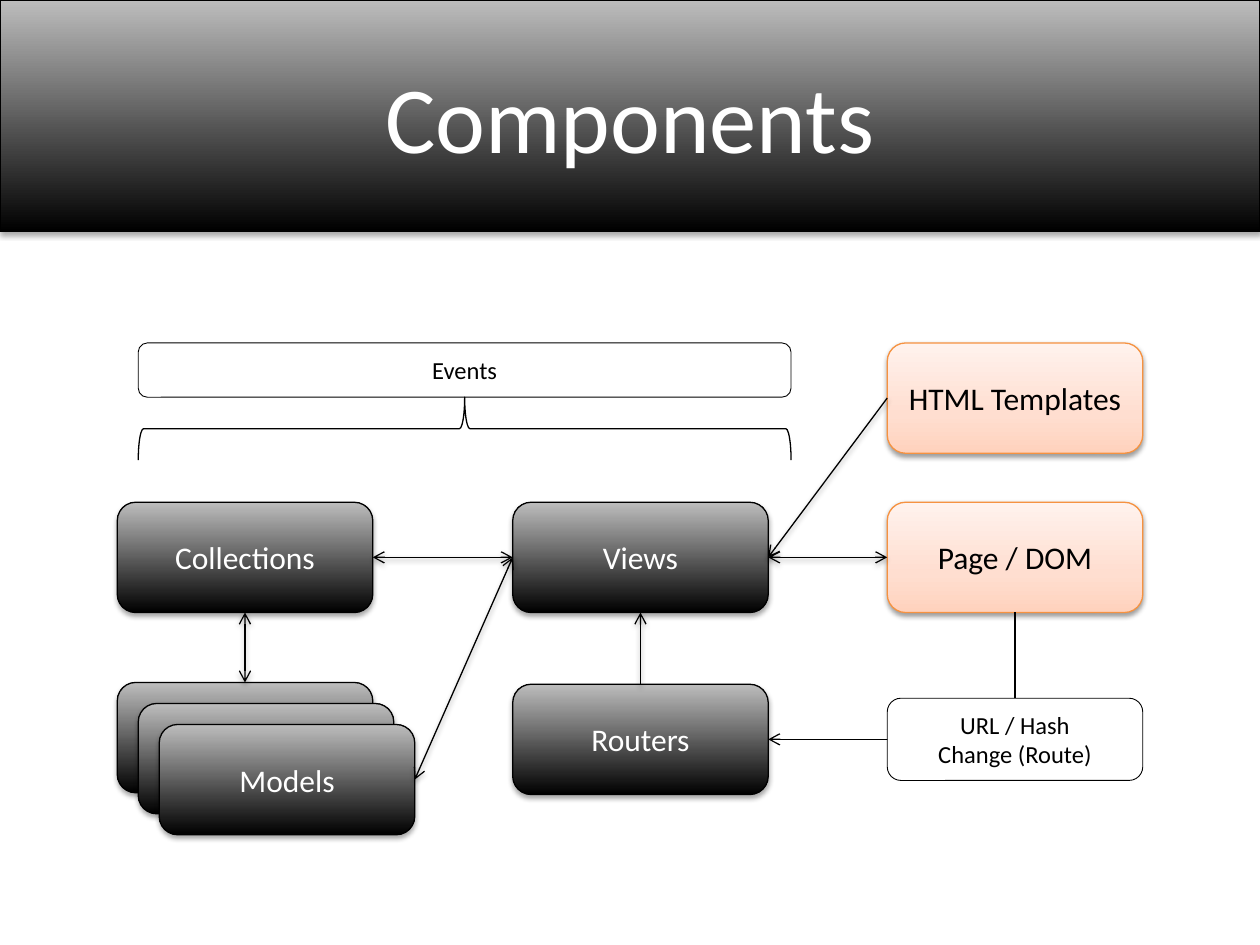
from lxml import etree
from pptx import Presentation
from pptx.dml.color import RGBColor
from pptx.enum import shapes, text
from pptx.oxml.ns import qn
from pptx.util import Pt

DARK = [(0, "000000"), (100, "BDBDBD")]
PEACH = [(0, "FFD2BD"), (35, "FFDED0"), (100, "FFF2ED")]
WIDE, HIGH = 146, 63
COLS = (67, 293, 507)
ROWS = (196, 287, 391)
STEP = 12  # offset between stacked cards
TOP, LEFT, BOTTOM, RIGHT = range(4)

# name, column, row, stops, line colour, text colour, shadow (opacity, distance)
BOXES = [
    ("Collections", 0, 1, DARK, "000000", "FFFFFF", (35, 1.8)),
    ("Views", 1, 1, DARK, "000000", "FFFFFF", (35, 1.8)),
    ("Routers", 1, 2, DARK, "000000", "FFFFFF", (35, 1.8)),
    ("HTML Templates", 2, 0, PEACH, "F69240", "000000", (38, 1.6)),
    ("Page / DOM", 2, 1, PEACH, "F69240", "000000", (38, 1.6)),
]
CARDS = ["", "", "Models"]
# from, side, to, side, arrowhead at both ends
LINKS = [
    ("HTML Templates", LEFT, "Views", RIGHT, False),
    ("Collections", RIGHT, "Views", LEFT, True),
    ("Models", RIGHT, "Views", LEFT, True),
    ("Collections", BOTTOM, "Stack", TOP, True),
    ("Views", RIGHT, "Page / DOM", LEFT, True),
    ("Routers", TOP, "Views", BOTTOM, False),
]
EVENTS = (79, 196, 373, 31)
ROUTE = (COLS[2], 399, WIDE, 47)
BRACE = 36


def rgb(code):
    return RGBColor.from_string(code)


def sub(node, tag, **attrs):
    return etree.SubElement(node, qn(tag), {k: str(v) for k, v in attrs.items()})


def edge(shape, code, width=0.75):
    shape.line.color.rgb = rgb(code)
    shape.line.width = Pt(width)


def shade(shape, alpha=0, dist=0):
    """Give the shape a soft shadow straight below, or none if alpha is 0."""
    props = shape._element.spPr
    for old in props.findall(qn("a:effectLst")):
        props.remove(old)
    effects = sub(props, "a:effectLst")
    if alpha:
        outer = sub(effects, "a:outerShdw", blurRad=Pt(3.1), dist=Pt(dist),
                    dir=5400000, rotWithShape=0)
        color = sub(outer, "a:srgbClr", val="000000")
        sub(color, "a:alpha", val=alpha * 1000)


def blend(shape, stops):
    """Fill from bottom to top with any number of colour stops."""
    shape.fill.gradient()
    shape.fill.gradient_angle = 90
    group = shape._element.spPr.find(qn("a:gradFill")).find(qn("a:gsLst"))
    for old in list(group):
        group.remove(old)
    for pos, code in stops:
        sub(sub(group, "a:gs", pos=pos * 1000), "a:srgbClr", val=code)


def write(shape, words, size, code):
    frame = shape.text_frame
    frame.text = words
    frame.word_wrap = True
    frame.vertical_anchor = text.MSO_ANCHOR.MIDDLE
    for para in frame.paragraphs:
        para.alignment = text.PP_ALIGN.CENTER
        for run in para.runs:
            run.font.name, run.font.size = "Calibri", Pt(size)
            run.font.color.rgb = rgb(code)


def add_box(slide, x, y, w, h, words, size, code):
    box = slide.shapes.add_shape(shapes.MSO_SHAPE.ROUNDED_RECTANGLE,
                                 Pt(x), Pt(y), Pt(w), Pt(h))
    if words:
        write(box, words, size, code)
    return box


def add_block(slide, x, y, words, stops, line, code, shadow):
    box = add_box(slide, x, y, WIDE, HIGH, words, 18, code)
    blend(box, stops)
    edge(box, line)
    shade(box, *shadow)
    return box


def add_label(slide, place, words):
    box = add_box(slide, *place, words, 14, "000000")
    box.fill.solid()
    box.fill.fore_color.rgb = rgb("FFFFFF")
    edge(box, "000000", 0.5)
    shade(box)


def add_link(slide, kind, start, side, end, goal, both):
    link = slide.shapes.add_connector(kind, 0, 0, 0, 0)
    link.begin_connect(start, side)
    link.end_connect(end, goal)
    edge(link, "000000")
    line = link.line._get_or_add_ln()
    if both:
        sub(line, "a:headEnd", type="arrow")
    sub(line, "a:tailEnd", type="arrow")
    return link


def add_bend(slide, page, router):
    """Run down from the page, then left to the router, with one corner."""
    link = add_link(slide, shapes.MSO_CONNECTOR.ELBOW,
                    page, BOTTOM, router, RIGHT, False)
    x1, y1 = page.left + page.width // 2, page.top + page.height
    x2, y2 = router.left + router.width, router.top + router.height // 2
    across, down = x1 - x2, y2 - y1
    link.left, link.top = (x1 + x2 - down) // 2, (y1 + y2 - across) // 2
    link.width, link.height = down, across
    props = link._element.spPr
    form = props.find(qn("a:xfrm"))
    for flip in ("flipH", "flipV"):
        form.attrib.pop(flip, None)
    form.set("rot", "5400000")
    props.find(qn("a:prstGeom")).set("prst", "bentConnector2")
    shade(link)


def add_brace(slide):
    x, y, w, h = EVENTS
    brace = slide.shapes.add_shape(
        shapes.MSO_SHAPE.LEFT_BRACE, Pt(x + (w - BRACE) / 2),
        Pt(y + h + (BRACE - w) / 2), Pt(BRACE), Pt(w))
    brace.rotation = 90
    brace.fill.background()
    edge(brace, "000000")
    shade(brace)


def main():
    deck = Presentation()
    deck.slide_width, deck.slide_height = Pt(720), Pt(540)
    slide = deck.slides.add_slide(deck.slide_layouts[5])

    title = slide.shapes.title
    title.left, title.top, title.width, title.height = 0, 0, Pt(720), Pt(132.5)
    write(title, "Components", 54, "FFFFFF")
    blend(title, DARK)
    edge(title, "000000")
    shade(title, 35, 1.8)

    nodes = {}
    for name, col, row, *look in BOXES:
        nodes[name] = add_block(slide, COLS[col], ROWS[row], name, *look)
    cards = [add_block(slide, COLS[0] + i * STEP, ROWS[2] - 1 + i * STEP, name,
                       DARK, "000000", "FFFFFF", (35, 1.8))
             for i, name in enumerate(CARDS)]
    nodes["Stack"], nodes["Models"] = cards[0], cards[-1]

    for start, side, end, goal, both in LINKS:
        link = add_link(slide, shapes.MSO_CONNECTOR.STRAIGHT,
                        nodes[start], side, nodes[end], goal, both)
        shade(link, 38, 1.6)

    add_label(slide, EVENTS, "Events")
    add_brace(slide)
    add_bend(slide, nodes["Page / DOM"], nodes["Routers"])
    add_label(slide, ROUTE, "URL / Hash\nChange (Route)")
    deck.save("out.pptx")


if __name__ == "__main__":
    main()
